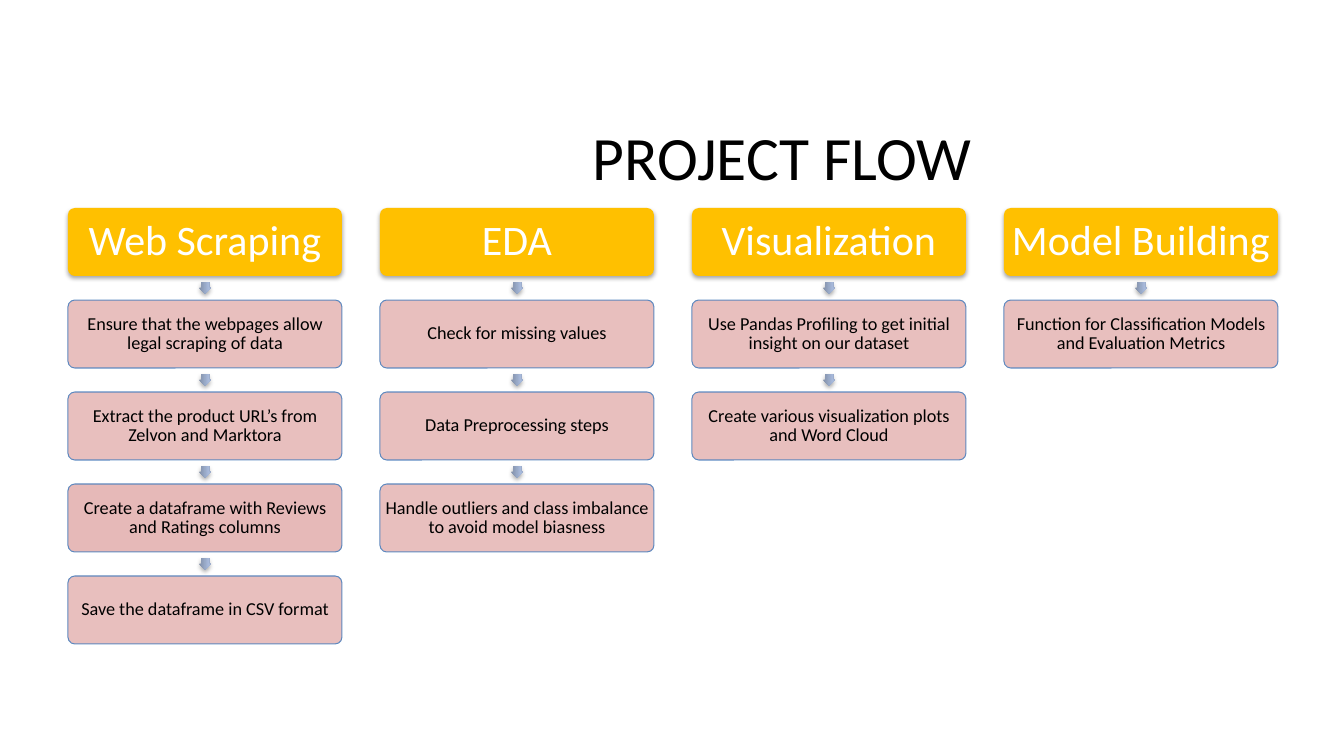
import pptx
import pptx.util
import pptx.dml.color
import pptx.enum.shapes
import pptx.enum.text
import pptx.oxml
import pptx.oxml.ns

SCALE = 914400 / 100.8
FONT = "Calibri"
KIND = pptx.enum.shapes.MSO_SHAPE
LEFT, TOP, WIDE, HIGH = 68, 208, 274, 68
STEP, PITCH, ARROW = 312, 92, 12
FLOWS = [
    ("Web Scraping", [
        "Ensure that the webpages allow legal scraping of data",
        "Extract the product URL’s from Zelvon and Marktora",
        "Create a dataframe with Reviews and Ratings columns",
        "Save the dataframe in CSV format"]),
    ("EDA", [
        "Check for missing values",
        "Data Preprocessing steps",
        "Handle outliers and class imbalance to avoid model biasness"]),
    ("Visualization", [
        "Use Pandas Profiling to get initial insight on our dataset",
        "Create various visualization plots and Word Cloud"]),
    ("Model Building", [
        "Function for Classification Models and Evaluation Metrics"]),
]
OPAQUE = FLOWS[0][1][2]


def px(size):
    return pptx.util.Emu(round(size * SCALE))


def color(code):
    return pptx.dml.color.RGBColor.from_string(code)


def fade(fill, share):
    for tint in fill._xPr.iter(pptx.oxml.ns.qn("a:srgbClr")):
        tint.append(pptx.oxml.parse_xml(
            f'<a:alpha {pptx.oxml.ns.nsdecls("a")} val="{share * 1000}"/>'))


def shade(shape):
    shape.shadow.inherit = False
    shape._element.spPr.find(pptx.oxml.ns.qn("a:effectLst")).append(
        pptx.oxml.parse_xml(
            f'<a:outerShdw {pptx.oxml.ns.nsdecls("a")} blurRad="40000" '
            'dist="23000" dir="5400000" rotWithShape="0">'
            '<a:srgbClr val="000000"><a:alpha val="35000"/></a:srgbClr>'
            '</a:outerShdw>'))


def write(shape, text, size, ink):
    frame = shape.text_frame
    frame.text = text
    frame.word_wrap = True
    frame.vertical_anchor = pptx.enum.text.MSO_ANCHOR.MIDDLE
    para = frame.paragraphs[0]
    para.alignment = pptx.enum.text.PP_ALIGN.CENTER
    para.font.name = FONT
    para.font.size = pptx.util.Pt(size)
    para.font.color.rgb = color(ink)
    return frame


def add_box(slide, x, y, text, size, ink, back, inset):
    box = slide.shapes.add_shape(
        KIND.ROUNDED_RECTANGLE, px(x), px(y), px(WIDE), px(HIGH))
    box.adjustments[0] = 0.1
    box.shadow.inherit = False
    box.fill.solid()
    box.fill.fore_color.rgb = color(back)
    frame = write(box, text, size, ink)
    frame.paragraphs[0].line_spacing = 0.9
    frame.margin_left = frame.margin_right = px(inset)
    frame.margin_top = frame.margin_bottom = px(inset)
    return box


def add_head(slide, x, y, text):
    box = add_box(slide, x, y, text, 30, "FFFFFF", "FFC000", 4)
    box.line.fill.background()
    shade(box)


def add_card(slide, x, y, text):
    box = add_box(slide, x, y, text, 13, "000000", "E6B9B8", 2)
    if text != OPAQUE:
        fade(box.fill, 90)
    box.line.color.rgb = color("4F81BD")
    box.line.width = pptx.util.Pt(0.75)
    fade(box.line.fill, 90)


def add_arrow(slide, x, y):
    arrow = slide.shapes.add_shape(
        KIND.RIGHT_ARROW, px(x), px(y), px(ARROW), px(ARROW))
    arrow.rotation = 90
    arrow.adjustments[0] = 0.67
    arrow.fill.gradient()
    arrow.fill.gradient_angle = 90
    stops = [(0, "818FA8"), (0.8, "A7B9DA")]
    for stop, (place, code) in zip(arrow.fill.gradient_stops, stops):
        stop.position = place
        stop.color.rgb = color(code)
    arrow.line.fill.background()
    shade(arrow)


def add_flow(slide, x, y, head, cards):
    add_head(slide, x, y, head)
    for row, text in enumerate(cards, 1):
        top = y + row * PITCH
        gap = PITCH - HIGH
        add_arrow(slide, x + (WIDE - ARROW) / 2, top - (gap + ARROW) / 2)
        add_card(slide, x, top, text)


def add_title(slide, x, y, wide, high):
    title = slide.shapes.title
    title.left, title.top = px(x), px(y)
    title.width, title.height = px(wide), px(high)
    write(title, "PROJECT FLOW", 44, "000000")


def main():
    deck = pptx.Presentation()
    deck.slide_width, deck.slide_height = px(1344), px(756)
    slide = deck.slides.add_slide(deck.slide_layouts[5])
    add_title(slide, 320, 85, 924, 142)
    for col, (head, cards) in enumerate(FLOWS):
        add_flow(slide, LEFT + col * STEP, TOP, head, cards)
    deck.save("out.pptx")


if __name__ == "__main__":
    main()
